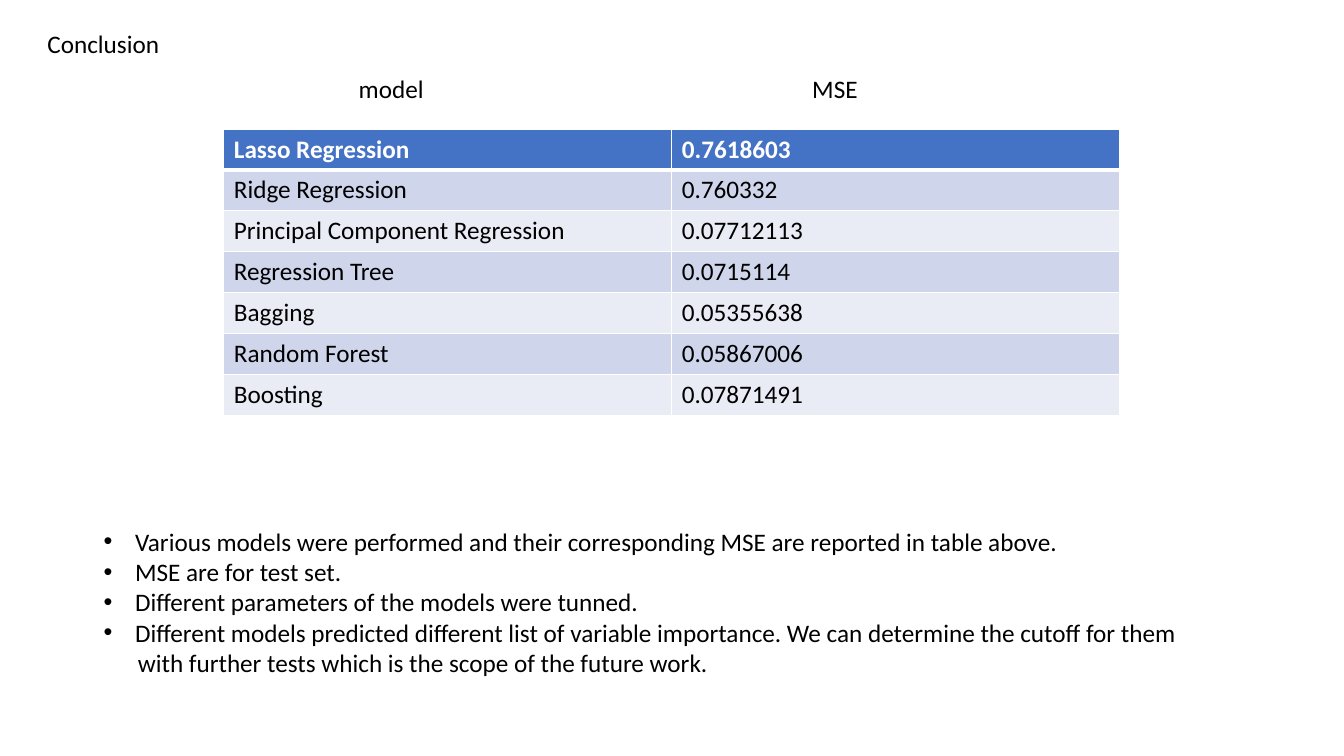
from lxml.etree import SubElement
from pptx import Presentation
from pptx.dml.color import RGBColor
from pptx.enum.text import MSO_ANCHOR, MSO_AUTO_SIZE, PP_ALIGN
from pptx.oxml import parse_xml
from pptx.oxml.ns import nsdecls, qn
from pptx.util import Cm, Pt

WHITE = RGBColor(0xFF, 0xFF, 0xFF)
BLACK = RGBColor(0x00, 0x00, 0x00)
HEADER_BLUE = RGBColor(0x44, 0x72, 0xC4)
BAND_DARK = RGBColor(0xCF, 0xD5, 0xEA)
BAND_LIGHT = RGBColor(0xE9, 0xEB, 0xF5)

MODEL_ERRORS = [
    ("Lasso Regression", "0.7618603"),
    ("Ridge Regression", "0.760332"),
    ("Principal Component Regression", "0.07712113"),
    ("Regression Tree", "0.0715114"),
    ("Bagging", "0.05355638"),
    ("Random Forest", "0.05867006"),
    ("Boosting", "0.07871491"),
]
FINDINGS = [
    "Various models were performed and their corresponding MSE are reported in table above.",
    "MSE are for test set.",
    "Different parameters of the models were tunned.",
    "Different models predicted different list of variable importance. "
    "We can determine the cutoff for them",
]
CONTINUATION = "with further tests which is the scope of the future work."


def place(shape, left, top, width, height):
    shape.left, shape.top = Cm(left), Cm(top)
    shape.width, shape.height = Cm(width), Cm(height)
    frame = shape.text_frame
    frame.word_wrap = False
    frame.auto_size = MSO_AUTO_SIZE.SHAPE_TO_FIT_TEXT
    frame.vertical_anchor = MSO_ANCHOR.TOP


def write(paragraph, text, color=BLACK, bold=False):
    paragraph.alignment = PP_ALIGN.LEFT
    paragraph.space_before = Pt(0)
    run = paragraph.add_run()
    run.text = text
    run.font.name = "Calibri"
    run.font.size = Pt(18)
    run.font.bold = bold
    run.font.color.rgb = color


def set_bullet(paragraph, margin, bulleted):
    properties = paragraph._p.get_or_add_pPr()
    properties.set("marL", str(Cm(margin)))
    properties.set("indent", str(-Cm(margin) if bulleted else 0))
    if bulleted:
        SubElement(properties, qn("a:buFont"), typeface="Arial")
        SubElement(properties, qn("a:buChar"), char="•")
    else:
        SubElement(properties, qn("a:buNone"))


def set_borders(cell, bottom_width):
    properties = cell._tc.get_or_add_tcPr()
    widths = {"lnL": 1, "lnR": 1, "lnT": 1, "lnB": bottom_width}
    for position, (side, width) in enumerate(widths.items()):
        line = parse_xml(
            f'<a:{side} {nsdecls("a")} w="{Pt(width)}"><a:solidFill>'
            f'<a:srgbClr val="{WHITE}"/></a:solidFill></a:{side}>'
        )
        properties.insert(position, line)


def add_error_table(slide):
    row_height, column_width = 1.03, 11.29
    table = slide.shapes.add_table(
        len(MODEL_ERRORS), 2, Cm(5.64), Cm(3.25),
        Cm(2 * column_width), Cm(len(MODEL_ERRORS) * row_height),
    ).table
    for row_index, values in enumerate(MODEL_ERRORS):
        header = row_index == 0
        band = BAND_DARK if row_index % 2 else BAND_LIGHT
        for column_index, value in enumerate(values):
            cell = table.cell(row_index, column_index)
            cell.fill.solid()
            cell.fill.fore_color.rgb = HEADER_BLUE if header else band
            set_borders(cell, 3 if header else 1)
            write(cell.text_frame.paragraphs[0], value, WHITE if header else BLACK, header)


def add_label(slide, text, left, width):
    label = slide.shapes.add_textbox(0, 0, 0, 0)
    place(label, left, 1.73, width, 1.03)
    write(label.text_frame.paragraphs[0], text)


def fill_title(slide):
    title = slide.shapes.title
    place(title, 0.94, 0.58, 3.35, 1.03)
    write(title.text_frame.paragraphs[0], "Conclusion")


def fill_findings(slide):
    body = slide.placeholders[1]
    place(body, 2.36, 13.13, 27.91, 4.11)
    frame = body.text_frame
    for index, text in enumerate(FINDINGS):
        paragraph = frame.add_paragraph() if index else frame.paragraphs[0]
        write(paragraph, text)
        set_bullet(paragraph, 0.79, True)
    continuation = frame.add_paragraph()
    write(continuation, CONTINUATION)
    set_bullet(continuation, 0.86, False)


def main():
    presentation = Presentation()
    presentation.slide_width, presentation.slide_height = Cm(33.87), Cm(19.05)
    slide = presentation.slides.add_slide(presentation.slide_layouts[1])
    add_error_table(slide)
    add_label(slide, "model", 8.79, 2.16)
    add_label(slide, "MSE", 20.22, 1.68)
    fill_title(slide)
    fill_findings(slide)
    presentation.save("out.pptx")


if __name__ == "__main__":
    main()
